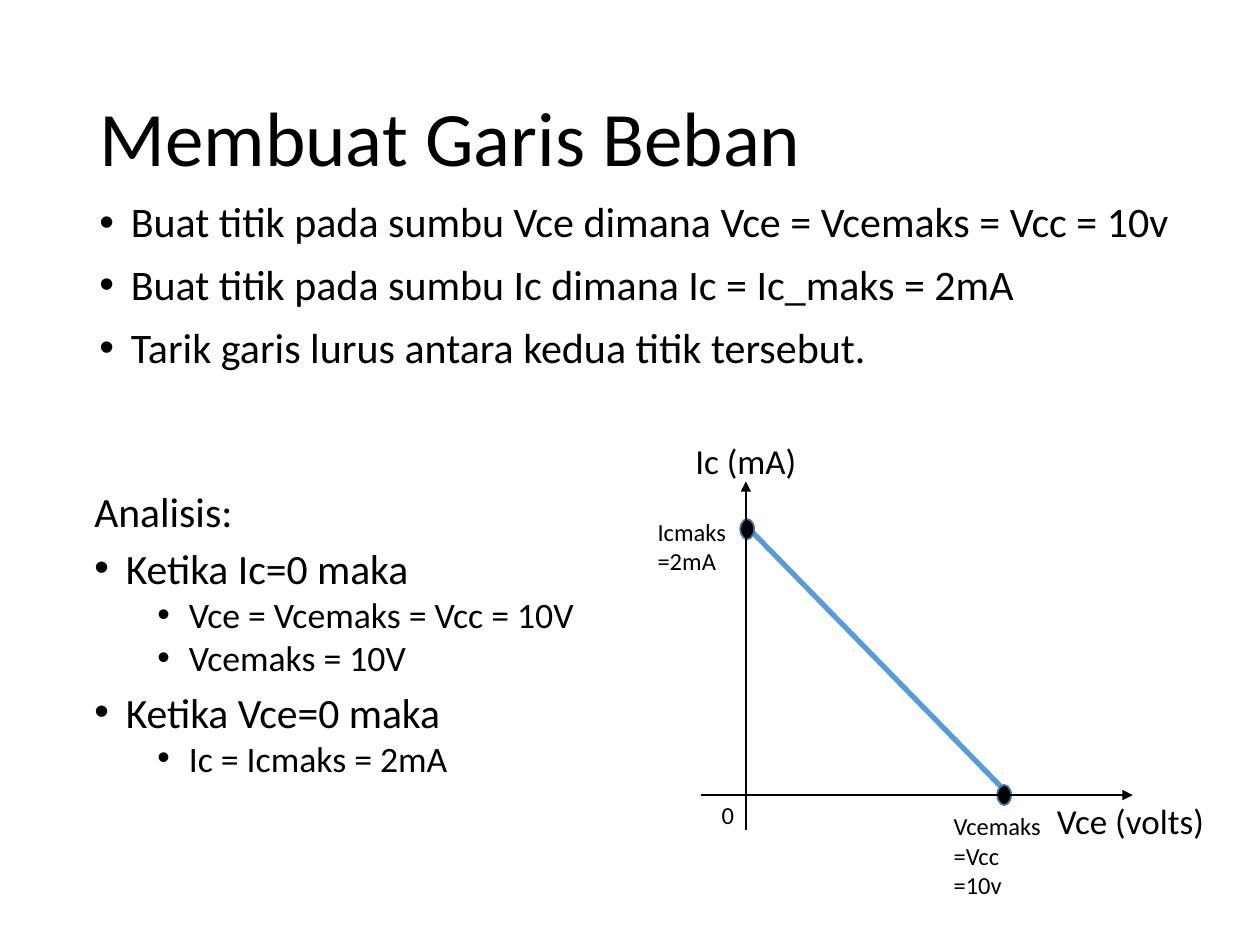
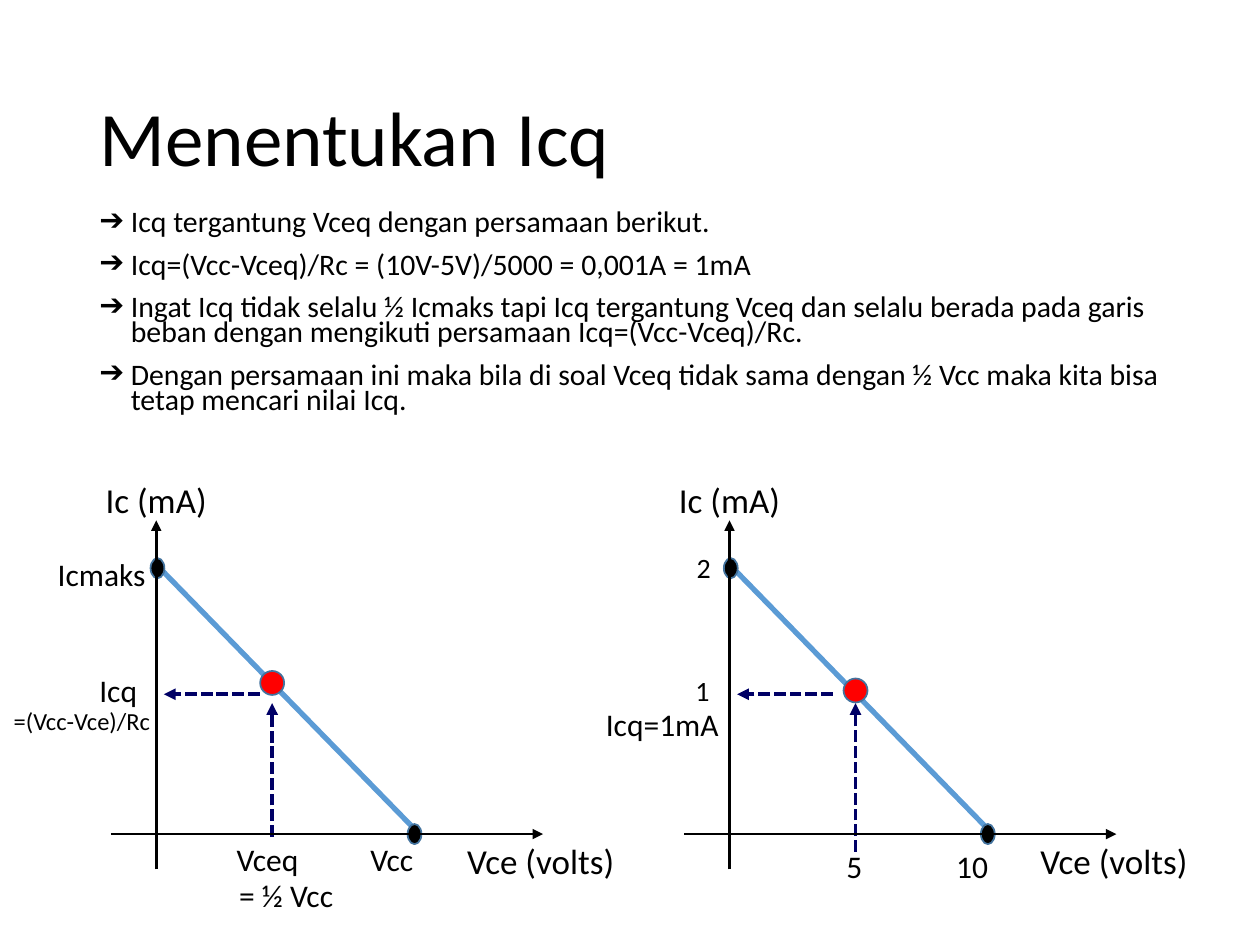
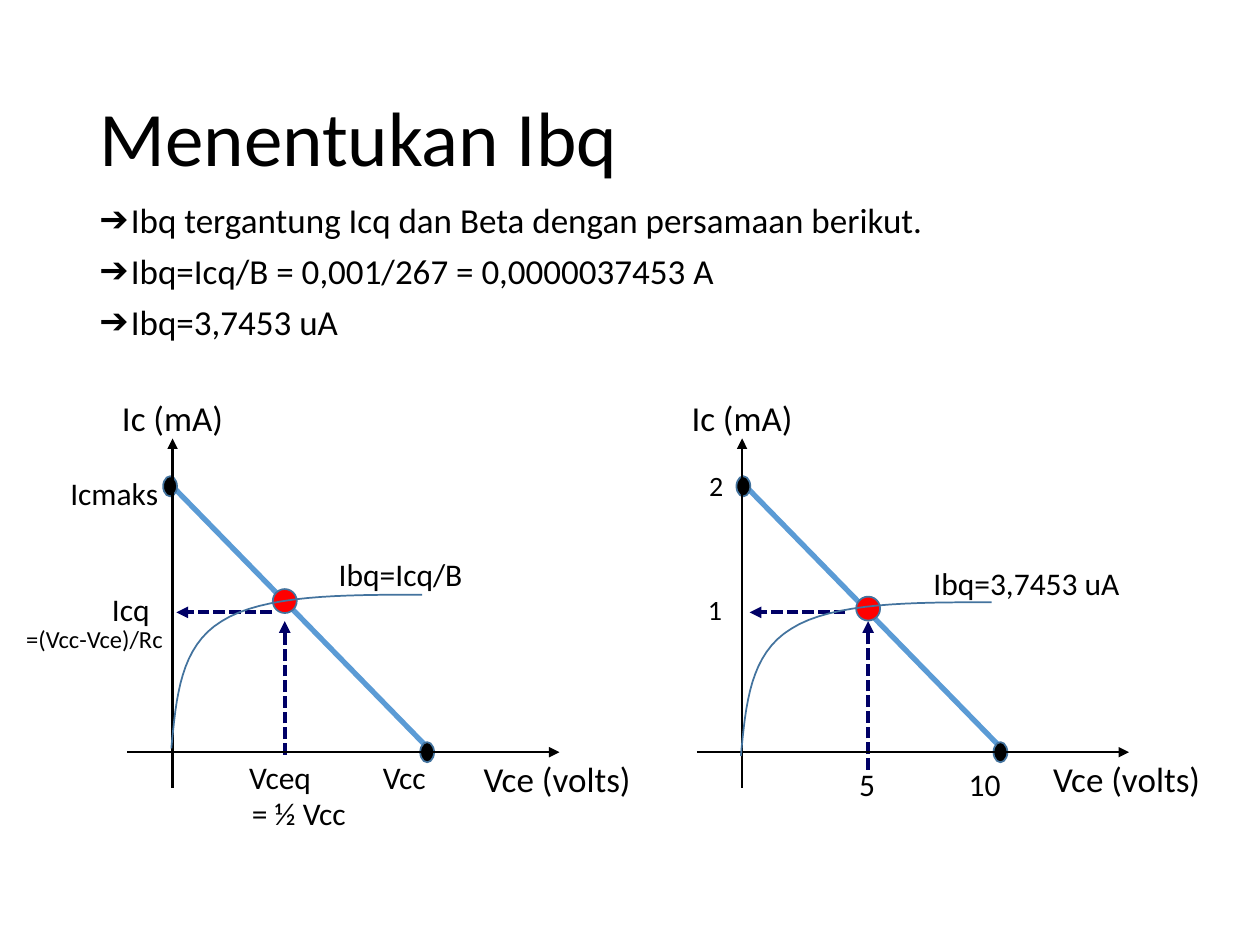
from dataclasses import dataclass
from lxml.etree import SubElement
from pptx import Presentation
from pptx.dml.color import RGBColor
from pptx.enum.dml import MSO_LINE_DASH_STYLE as DASH
from pptx.enum.shapes import MSO_CONNECTOR, MSO_SHAPE
from pptx.enum.text import MSO_ANCHOR, MSO_AUTO_SIZE as AUTO_SIZE, PP_ALIGN
from pptx.oxml.ns import qn
from pptx.util import Inches, Pt


@dataclass(frozen=True)
class Theme:
    font: str = "Calibri"
    ink: RGBColor = RGBColor(0x00, 0x00, 0x00)
    load_line: RGBColor = RGBColor(0x5B, 0x9B, 0xD5)
    outline: RGBColor = RGBColor(0x43, 0x73, 0x9E)
    guide: RGBColor = RGBColor(0x00, 0x00, 0x66)
    q_point: RGBColor = RGBColor(0xFF, 0x00, 0x00)
    title: float = 44
    axis: float = 20
    label: float = 18
    digit: float = 16
    small: float = 14


theme = Theme()


def add_text(slide, left, top, width, height, lines, size, wrap=False):
    shape = slide.shapes.add_textbox(Inches(left), Inches(top), Inches(width), Inches(height))
    frame = shape.text_frame
    frame.text = "\n".join(lines)
    frame.word_wrap = wrap
    frame.auto_size = AUTO_SIZE.NONE if wrap else AUTO_SIZE.SHAPE_TO_FIT_TEXT
    for paragraph in frame.paragraphs:
        for run in paragraph.runs:
            run.font.size = Pt(size)
            run.font.name = theme.font
            run.font.color.rgb = theme.ink
    return frame


def add_line(slide, start, end, color, width, arrow=False, dash=None):
    line = slide.shapes.add_connector(
        MSO_CONNECTOR.STRAIGHT, *[Inches(value) for value in (*start, *end)])
    line.line.color.rgb = color
    line.line.width = Pt(width)
    if dash:
        line.line.dash_style = dash
    if arrow:
        SubElement(line.line._get_or_add_ln(), qn("a:tailEnd"), type="triangle")
    SubElement(line._element.spPr, qn("a:effectLst"))


left_labels = [
    (0.54, 0, 0.7, ["Vceq"], theme.label),
    (0.56, 0.28, 0.96, ["= ½ Vcc"], theme.label),
    (-0.88, -2.26, 0.9, ["Icmaks"], theme.label),
    (1.6, 0, 0.55, ["Vcc"], theme.label),
    (-0.55, -1.34, 0.51, ["Icq"], theme.label),
    (-1.23, -1.07, 1.29, ["=(Vcc-Vce)/Rc"], theme.small),
]
right_labels = [
    (1.7, 0.05, 0.46, ["10"], theme.label),
    (0.83, 0.05, 0.33, ["5"], theme.label),
    (-0.36, -2.3, 0.32, ["2"], theme.digit),
    (-0.37, -1.32, 0.32, ["1"], theme.digit),
]
left_guide = {"q": (0.92, -1.2), "foot": 0.02}
right_guide = {"q": (1.0, -1.14), "foot": 0.14}

slides = [
    {
        "title": "Membuat Garis Beban",
        "bodies": [
            {"box": (0.69, 1.55, 8.83, 1.72), "spacing": 0.9, "sizes": (24, 20), "items": [
                ("•", 0, "Buat titik pada sumbu Vce dimana Vce = Vcemaks = Vcc = 10v"),
                ("•", 0, "Buat titik pada sumbu Ic dimana Ic = Ic_maks = 2mA"),
                ("•", 0, "Tarik garis lurus antara kedua titik tersebut."),
            ]},
            {"box": (0.65, 3.88, 4.09, 2.43), "spacing": 0.8, "sizes": (23.8, 20.4), "items": [
                (None, 0, "Analisis:"),
                ("•", 0, "Ketika Ic=0 maka"),
                ("•", 1, "Vce = Vcemaks = Vcc = 10V"),
                ("•", 1, "Vcemaks = 10V"),
                ("•", 0, "Ketika Vce=0 maka"),
                ("•", 1, "Ic = Icmaks = 2mA"),
            ]},
        ],
        "graphs": [
            {"origin": (5.92, 6.31), "labels": [
                (1.55, 0.08, 0.9, ["Vcemaks", "=Vcc", "=10v"], theme.small),
                (-0.8, -2.26, 0.75, ["Icmaks", "=2mA"], theme.small),
                (-0.29, -0.01, 0.3, ["0"], theme.small),
            ]},
        ],
    },
    {
        "title": "Menentukan Icq",
        "bodies": [
            {"box": (0.69, 1.64, 8.62, 1.81), "spacing": 0.7, "sizes": (17, 17), "items": [
                ("➔", 0, "Icq tergantung Vceq dengan persamaan berikut."),
                ("➔", 0, "Icq=(Vcc-Vceq)/Rc = (10V-5V)/5000 = 0,001A = 1mA"),
                ("➔", 0, "Ingat Icq tidak selalu ½ Icmaks tapi Icq tergantung Vceq dan selalu "
                         "berada pada garis beban dengan mengikuti persamaan Icq=(Vcc-Vceq)/Rc."),
                ("➔", 0, "Dengan persamaan ini maka bila di soal Vceq tidak sama dengan ½ Vcc "
                         "maka kita bisa tetap mencari nilai Icq."),
            ]},
        ],
        "graphs": [
            {"origin": (1.24, 6.62), "labels": left_labels, "guide": left_guide},
            {"origin": (5.79, 6.62), "guide": right_guide, "labels": right_labels + [
                (-1.08, -1.07, 1.11, ["Icq=1mA"], theme.label)]},
        ],
    },
    {
        "title": "Menentukan Ibq",
        "bodies": [
            {"box": (0.69, 1.59, 8.62, 1.26), "spacing": 0.8, "sizes": (20, 20), "items": [
                ("➔", 0, "Ibq tergantung Icq dan Beta dengan persamaan berikut."),
                ("➔", 0, "Ibq=Icq/B = 0,001/267 = 0,0000037453 A"),
                ("➔", 0, "Ibq=3,7453 uA"),
            ]},
        ],
        "graphs": [
            {"origin": (1.34, 5.97), "axis_shift": 0.03, "guide": left_guide,
             "curve": (0.02, -0.03), "labels": left_labels + [
                (1.25, -1.61, 1.2, ["Ibq=Icq/B"], theme.label)]},
            {"origin": (5.89, 5.97), "guide": right_guide,
             "curve": (-0.01, 0.03), "labels": right_labels + [
                (1.42, -1.54, 1.7, ["Ibq=3,7453 uA"], theme.label)]},
        ],
    },
]
curve_segments = [
    [(0, 0), (0.04, -0.41), (0.07, -0.81), (0.4, -1.01)],
    [(0.4, -1.01), (0.73, -1.22), (1.36, -1.22), (1.99, -1.22)],
]
curve_steps = 16

presentation = Presentation()
presentation.slide_width = Inches(10)
presentation.slide_height = Inches(7.5)

for content in slides:
    slide = presentation.slides.add_slide(presentation.slide_layouts[5])
    title = slide.shapes.title
    title.left, title.top = Inches(0.69), Inches(0.4)
    title.width, title.height = Inches(8.62), Inches(1.45)
    title.text_frame.text = content["title"]
    title.text_frame.vertical_anchor = MSO_ANCHOR.MIDDLE
    paragraph = title.text_frame.paragraphs[0]
    paragraph.alignment = PP_ALIGN.LEFT
    paragraph.line_spacing = 0.9
    font = paragraph.runs[0].font
    font.size, font.name = Pt(theme.title), theme.font
    font.color.rgb = theme.ink

    for body in content["bodies"]:
        lines = [text for _, _, text in body["items"]]
        frame = add_text(slide, *body["box"], lines, body["sizes"][0], wrap=True)
        for index, (bullet, level, _) in enumerate(body["items"]):
            paragraph = frame.paragraphs[index]
            paragraph.level = level
            paragraph.line_spacing = body["spacing"]
            if index:
                paragraph.space_before = Pt(5 if level else 10)
            paragraph.runs[0].font.size = Pt(body["sizes"][level])
            if bullet:
                properties = paragraph._p.get_or_add_pPr()
                properties.set("marL", str(Inches(0.25 + 0.5 * level)))
                properties.set("indent", str(Inches(-0.25)))
                SubElement(properties, qn("a:buFont"), typeface="Arial")
                SubElement(properties, qn("a:buChar"), char=bullet)

    for graph in content["graphs"]:
        x, y = graph["origin"]
        axis_x = x + graph.get("axis_shift", 0)
        guide = graph.get("guide")
        add_line(slide, (x + 2.04, y - 0.05), (x - 0.01, y - 2.15), theme.load_line, 3)

        dots = [(2.05, 0, 0.11, 0.16, theme.ink), (0.01, -2.11, 0.11, 0.16, theme.ink)]
        if guide:
            q_x, q_y = guide["q"]
            dots.append((q_x, q_y, 0.19, 0.19, theme.q_point))
            add_line(slide, (x + q_x, y + guide["foot"]), (x + q_x, y - 1.04),
                     theme.guide, 2.25, arrow=True, dash=DASH.SQUARE_DOT)
            add_line(slide, (x + 0.82, y - 1.11), (x + 0.06, y - 1.11),
                     theme.guide, 2.25, arrow=True, dash=DASH.SQUARE_DOT)
        for dot_x, dot_y, width, height, color in dots:
            dot = slide.shapes.add_shape(
                MSO_SHAPE.OVAL, Inches(x + dot_x - width / 2), Inches(y + dot_y - height / 2),
                Inches(width), Inches(height))
            dot.shadow.inherit = False
            dot.fill.solid()
            dot.fill.fore_color.rgb = color
            dot.line.color.rgb = theme.outline
            dot.line.width = Pt(1)

        add_line(slide, (axis_x, y + 0.28), (axis_x, y - 2.49), theme.ink, 1.5, arrow=True)
        add_line(slide, (axis_x - 0.36, y), (axis_x + 3.07, y), theme.ink, 1.5, arrow=True)
        add_text(slide, axis_x - 0.5, y - 2.87, 1.0, 0.44, ["Ic (mA)"], theme.axis)
        add_text(slide, axis_x + 2.37, y - 0.01, 1.37, 0.44, ["Vce (volts)"], theme.axis)

        if "curve" in graph:
            start_x, start_y = x + graph["curve"][0], y + graph["curve"][1]
            points = []
            for segment in curve_segments:
                for step in range(1, curve_steps + 1):
                    t = step / curve_steps
                    weights = ((1 - t) ** 3, 3 * t * (1 - t) ** 2, 3 * t * t * (1 - t), t ** 3)
                    points.append((
                        Inches(start_x + sum(w * p[0] for w, p in zip(weights, segment))),
                        Inches(start_y + sum(w * p[1] for w, p in zip(weights, segment)))))
            builder = slide.shapes.build_freeform(Inches(start_x), Inches(start_y))
            builder.add_line_segments(points, close=False)
            curve = builder.convert_to_shape()
            curve.shadow.inherit = False
            curve.fill.background()
            curve.line.color.rgb = theme.outline
            curve.line.width = Pt(1)

        for label_x, label_y, width, lines, size in graph["labels"]:
            height = 0.1 + len(lines) * size / 60
            add_text(slide, x + label_x, y + label_y, width, height, lines, size)

presentation.save("out.pptx")
